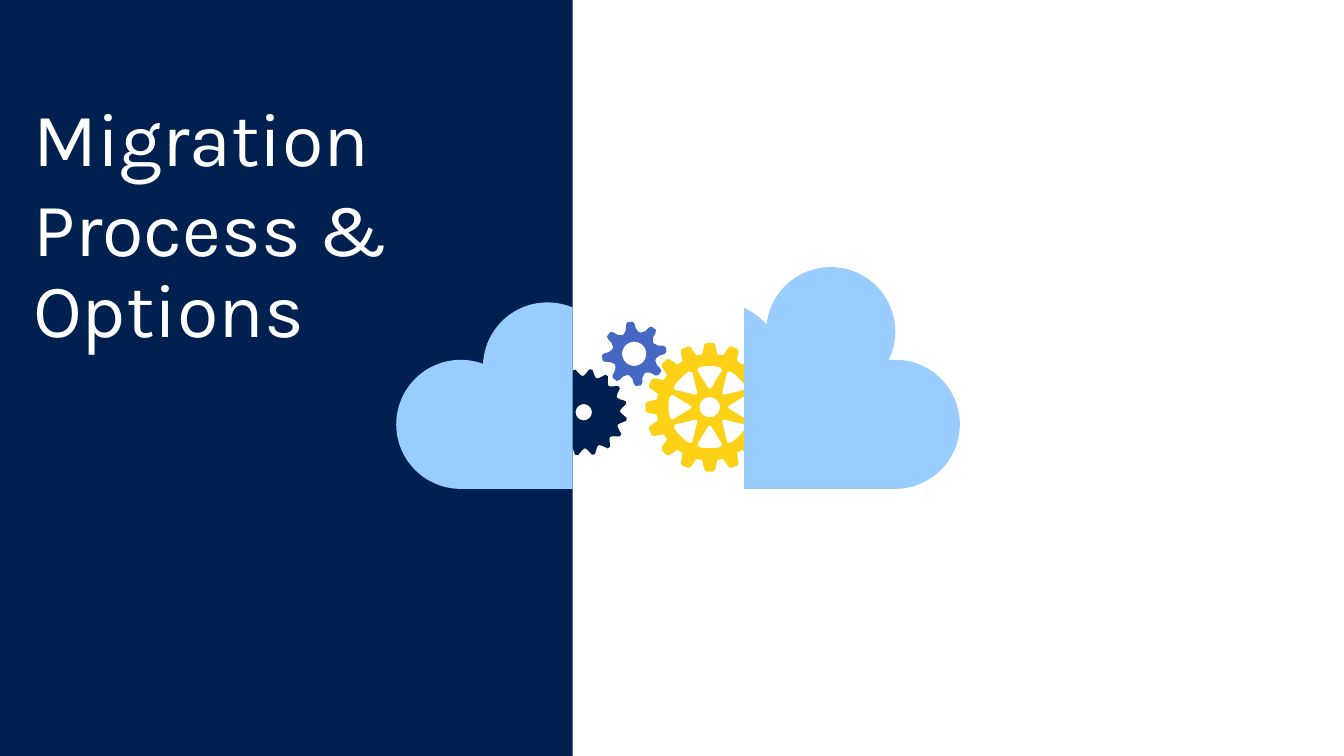
import math

import pptx
import pptx.dml.color
import pptx.enum.shapes
import pptx.util

Inches = pptx.util.Inches
RGBColor = pptx.dml.color.RGBColor

NAVY = RGBColor(0x00, 0x20, 0x50)
WHITE = RGBColor(0xFF, 0xFF, 0xFF)
BLUE = RGBColor(0x46, 0x68, 0xC5)
YELLOW = RGBColor(0xFC, 0xD1, 0x16)
SKY = RGBColor(0x99, 0xCC, 0xFF)

LOBE_RADIUS = 0.64
CLOUD_BASE = 4.85

BLUE_TOOTH = [(4.5, 0.32), (8, 0.3), (11.5, 0.25), (20, 0.22)]
NAVY_TOOTH = [(2, 0.43), (6.8, 0.38), (10.3, 0.36)]
YELLOW_TOOTH = [(3.1, 0.64), (5, 0.62), (8, 0.53)]
SPOKE_GAP = [(0, 0.18), (4.5, 0.19), (18, 0.37), (18.5, 0.39),
             (14.7, 0.41), (7, 0.41)]


def polar(centre, angle, radius):
    turn = math.radians(angle)
    return (centre[0] + radius * math.sin(turn),
            centre[1] - radius * math.cos(turn))


def arc(centre, radius, start, end):
    steps = math.ceil((end - start) / 3)
    return [polar(centre, start + (end - start) * step / steps, radius)
            for step in range(steps + 1)]


def mirrored(centre, profile, turn):
    left = [(-angle, radius) for angle, radius in reversed(profile)]
    return [polar(centre, turn + angle, radius)
            for angle, radius in left + profile]


def paint(shape, colour):
    shape.shadow.inherit = False
    shape.fill.solid()
    shape.fill.fore_color.rgb = colour
    shape.line.fill.background()


def add_outline(page, contours, colour):
    builder = None
    for contour in contours:
        points = [(Inches(x), Inches(y)) for x, y in contour]
        if builder is None:
            builder = page.shapes.build_freeform(*points[0])
        else:
            builder.move_to(*points[0])
        builder.add_line_segments(points[1:], close=True)
    paint(builder.convert_to_shape(), colour)


def add_gear(page, centre, teeth, phase, tooth, hub, colour, gaps=0):
    rim = [point for index in range(teeth)
           for point in mirrored(centre, tooth, phase + index * 360 / teeth)]
    openings = [mirrored(centre, SPOKE_GAP, index * 360 / gaps)
                for index in range(gaps)]
    add_outline(page, [rim, arc(centre, hub, 0, 360)] + openings, colour)


def add_cloud(page, cut, lobes):
    edge = [(cut, CLOUD_BASE)]
    for centre, start, end in lobes:
        edge += arc(centre, LOBE_RADIUS, start, end)
    add_outline(page, [edge], SKY)


def add_panel(page):
    panel = page.shapes.add_shape(pptx.enum.shapes.MSO_SHAPE.RECTANGLE,
                                  0, 0, Inches(5.68), Inches(7.5))
    paint(panel, NAVY)


def add_title(page, lines):
    box = page.shapes.add_textbox(Inches(0.13), Inches(0.84),
                                  Inches(5.37), Inches(4.35))
    frame = box.text_frame
    frame.word_wrap = True
    frame.margin_left = frame.margin_right = Inches(0.2)
    frame.margin_top = frame.margin_bottom = Inches(0.16)
    frame.text = "\n".join(lines)
    for para in frame.paragraphs:
        para.line_spacing = 0.9
        para.space_after = pptx.util.Pt(6)
        para.font.name = "Karla"
        para.font.size = pptx.util.Pt(54)
        para.font.color.rgb = WHITE


def main():
    deck = pptx.Presentation()
    deck.slide_width = Inches(13.33)
    deck.slide_height = Inches(7.5)
    page = deck.slides.add_slide(deck.slide_layouts[6])

    add_panel(page)
    add_title(page, ["Migration", "Process & Options"])
    add_gear(page, (6.29, 3.51), 8, -7.5, BLUE_TOOTH, 0.12, BLUE)
    add_gear(page, (5.79, 4.09), 16, 9.5, NAVY_TOOTH, 0.08, NAVY)
    add_gear(page, (7.04, 4.04), 16, 0, YELLOW_TOOTH, 0.1, YELLOW, gaps=8)
    add_cloud(page, 5.68, [((4.57, 4.21), 180, 380),
                           ((5.43, 3.64), 273, 383)])
    add_cloud(page, 7.38, [((7.12, 3.64), 24, 49),
                           ((8.24, 3.29), 277, 476),
                           ((8.88, 4.21), -5, 180)])
    deck.save("out.pptx")


if __name__ == "__main__":
    main()
